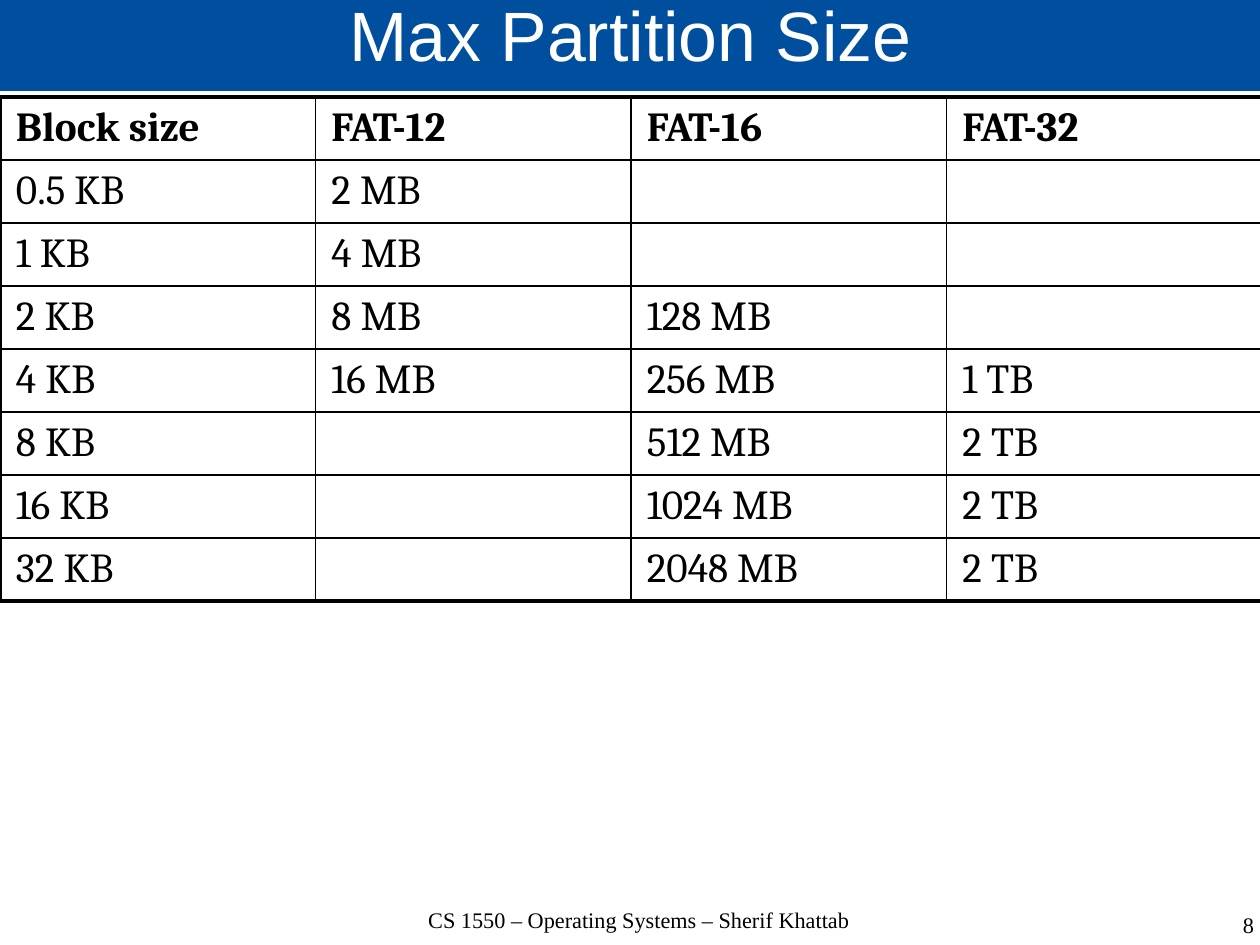
"""Build the slide on maximum FAT partition sizes."""
import lxml.etree
import pptx
import pptx.dml.color
import pptx.enum.text
import pptx.oxml.ns
import pptx.util

PX = 8000
BLACK = "000000"
ALIGN = pptx.enum.text.PP_ALIGN
ANCHOR = pptx.enum.text.MSO_ANCHOR


def write(text_frame, text, *, size, font, color=BLACK, bold=False, align=ALIGN.LEFT,
          spacing=1.0, anchor=ANCHOR.TOP, margins=(0, 0)):
    """Fill a text frame with one formatted paragraph."""
    text_frame.word_wrap = True
    text_frame.auto_size = pptx.enum.text.MSO_AUTO_SIZE.NONE
    text_frame.vertical_anchor = anchor
    text_frame.margin_left = text_frame.margin_right = margins[0] * PX
    text_frame.margin_top = text_frame.margin_bottom = margins[1] * PX
    paragraph = text_frame.paragraphs[0]
    paragraph.alignment = align
    paragraph.line_spacing = spacing
    run = paragraph.add_run()
    run.text = text
    run.font.size = pptx.util.Pt(size)
    run.font.name = font
    run.font.bold = bold
    run.font.color.rgb = pptx.dml.color.RGBColor.from_string(color)


def add_border(cell, side, width):
    """Draw one black edge of a table cell."""
    qn = pptx.oxml.ns.qn
    properties = cell._tc.get_or_add_tcPr()
    line = lxml.etree.SubElement(properties, qn(f"a:ln{side}"), w=str(pptx.util.Pt(width)))
    fill = lxml.etree.SubElement(line, qn("a:solidFill"))
    lxml.etree.SubElement(fill, qn("a:srgbClr"), val=BLACK)


presentation = pptx.Presentation()
presentation.slide_width = 1260 * PX
presentation.slide_height = 945 * PX
slide = presentation.slides.add_slide(presentation.slide_layouts[5])

title = slide.shapes.title
title.left, title.top, title.width, title.height = 0, -2 * PX, 1262 * PX, 93 * PX
title.fill.solid()
title.fill.fore_color.rgb = pptx.dml.color.RGBColor.from_string("004F9E")
write(title.text_frame, "Max Partition Size", size=44, font="Arial", color="FFFFFF",
      align=ALIGN.CENTER, spacing=0.69, anchor=ANCHOR.MIDDLE)

partition_sizes = [
    ["Block size", "FAT-12", "FAT-16", "FAT-32"],
    ["0.5 KB", "2 MB", "", ""],
    ["1 KB", "4 MB", "", ""],
    ["2 KB", "8 MB", "128 MB", ""],
    ["4 KB", "16 MB", "256 MB", "1 TB"],
    ["8 KB", "", "512 MB", "2 TB"],
    ["16 KB", "", "1024 MB", "2 TB"],
    ["32 KB", "", "2048 MB", "2 TB"],
]
last_row = len(partition_sizes) - 1
last_column = len(partition_sizes[0]) - 1
table = slide.shapes.add_table(last_row + 1, last_column + 1,
                               0, 97 * PX, 1262 * PX, 504 * PX).table
table.first_row = table.horz_banding = False

for row, values in enumerate(partition_sizes):
    for column, value in enumerate(values):
        cell = table.cell(row, column)
        outer_edges = {"L": column == 0, "R": column == last_column,
                       "T": row == 0, "B": row == last_row}
        for side, is_outer in outer_edges.items():
            add_border(cell, side, 2.25 if is_outer else 1)
        cell.fill.background()
        cell.margin_left = cell.margin_right = 16 * PX
        cell.margin_top = cell.margin_bottom = 7 * PX
        if value:
            paragraph = cell.text_frame.paragraphs[0]
            run = paragraph.add_run()
            run.text = value
            run.font.size = pptx.util.Pt(26)
            run.font.name = "Cambria"
            run.font.bold = row == 0
            run.font.color.rgb = pptx.dml.color.RGBColor.from_string(BLACK)

footers = [
    ("CS 1550 – Operating Systems – Sherif Khattab", 351, 908, 576, ALIGN.CENTER),
    ("8", 965, 913, 289, ALIGN.RIGHT),
]
for text, left, top, width, align in footers:
    footer = slide.shapes.add_textbox(left * PX, top * PX, width * PX, 63 * PX)
    write(footer.text_frame, text, size=14, font="Times New Roman", align=align, spacing=0.96)

presentation.save("out.pptx")
